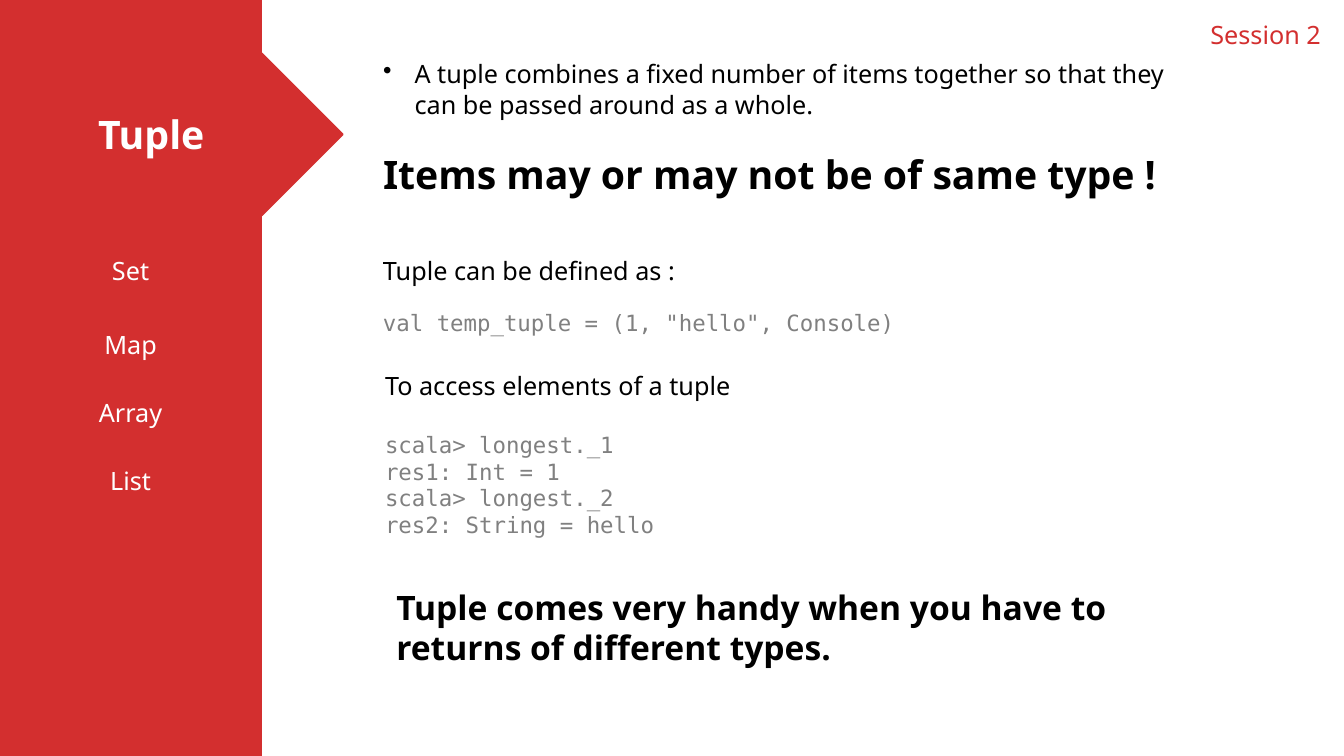
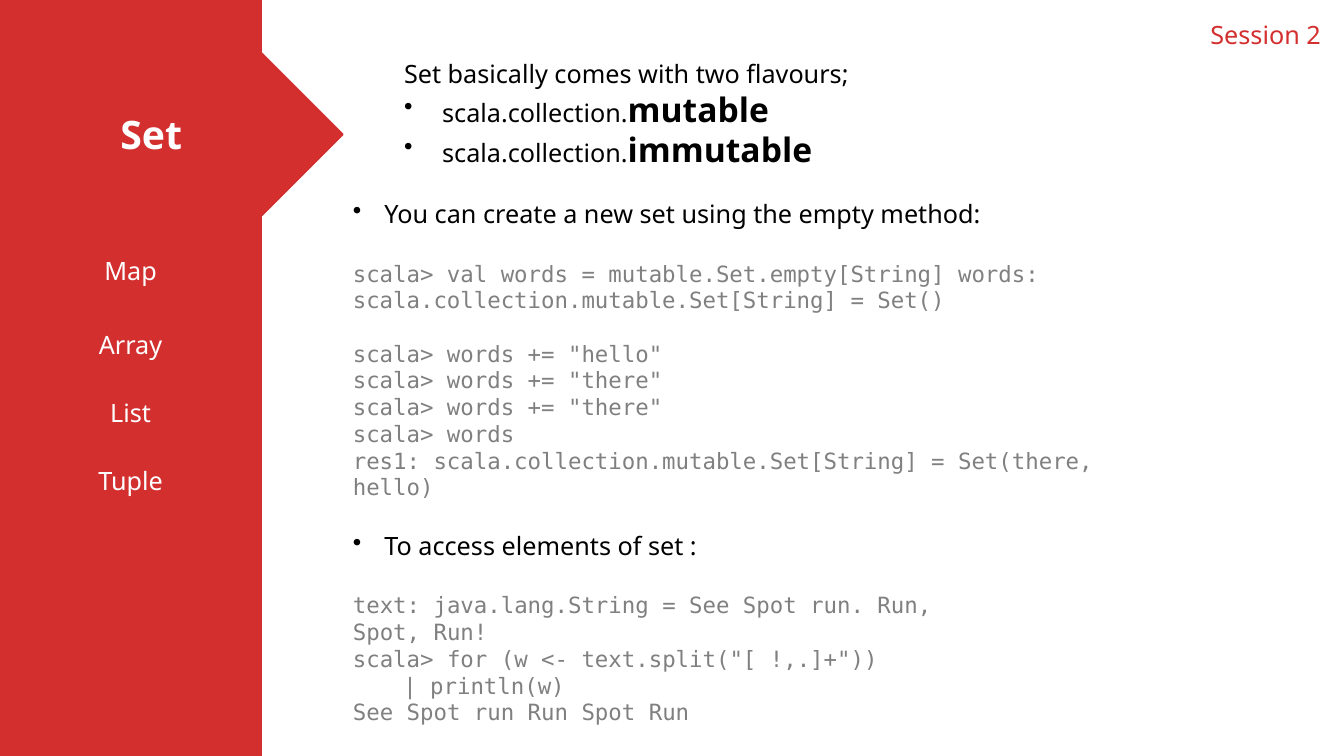
from pptx import Presentation
from pptx.dml.color import RGBColor
from pptx.enum.shapes import MSO_SHAPE
from pptx.enum.text import MSO_ANCHOR, MSO_AUTO_SIZE, PP_ALIGN
from pptx.oxml.ns import qn
from pptx.util import Pt
from lxml.etree import SubElement

# Shared look
RED, WHITE, BLACK, GRAY = "D32F2F", "FFFFFF", "000000", "808080"
BODY_FONT, CODE_FONT = "Noto Sans", "DejaVu Sans Mono"
SLIDE_WIDTH, SLIDE_HEIGHT = 960, 540
SIDEBAR_WIDTH = 186.5
BULLET_INDENT = 22.5
LINE_HEIGHTS = {16: 19.1, 18: 22, 24: 28.8, 28: 33.5}
TOPICS = ["Tuple", "Set", "Map", "Array", "List"]
MENU_TOPS = [178.5, 231, 280, 328.5]


def rgb(value):
    return RGBColor.from_string(value)


# Text
def add_run(paragraph, text, size, font, color, bold):
    run = paragraph.add_run()
    run.text = text
    run.font.size = Pt(size)
    run.font.name = font
    run.font.color.rgb = rgb(color)
    run.font.bold = bold


def add_bullet(paragraph):
    properties = paragraph._p.get_or_add_pPr()
    properties.set("marL", str(Pt(BULLET_INDENT)))
    properties.set("indent", str(-Pt(BULLET_INDENT)))
    SubElement(properties, qn("a:buChar")).set("char", "•")


def write(frame, text, size=18, font=BODY_FONT, color=BLACK, bold=False,
          align=PP_ALIGN.LEFT, gap=0, bullet=False, emphasis=""):
    """Add a paragraph; emphasis is a larger bold ending."""
    first = frame.paragraphs[0]
    paragraph = frame.add_paragraph() if first.runs else first
    paragraph.alignment = align
    paragraph.line_spacing = Pt(LINE_HEIGHTS[24 if emphasis else size])
    paragraph.space_before = Pt(gap)
    if bullet:
        add_bullet(paragraph)
    add_run(paragraph, text, size, font, color, bold)
    if emphasis:
        add_run(paragraph, emphasis, 24, font, color, True)


def write_code(frame, *lines, gap=0):
    for index, line in enumerate(lines):
        write(frame, line, size=16, font=CODE_FONT, color=GRAY,
              gap=0 if index else gap)


# Elements
def add_text_box(slide, left, top, width, height):
    shape = slide.shapes.add_textbox(Pt(left), Pt(top), Pt(width), Pt(height))
    frame = shape.text_frame
    frame.word_wrap = True
    frame.auto_size = MSO_AUTO_SIZE.SHAPE_TO_FIT_TEXT
    return frame


def add_red_shape(slide, kind, left, top, width, height):
    shape = slide.shapes.add_shape(kind, Pt(left), Pt(top), Pt(width), Pt(height))
    shape.shadow.inherit = False
    shape.fill.solid()
    shape.fill.fore_color.rgb = rgb(RED)
    shape.line.color.rgb = rgb(RED)
    shape.line.width = Pt(1)
    return shape


def add_topic_slide(presentation, topic):
    slide = presentation.slides.add_slide(presentation.slide_layouts[6])
    add_red_shape(slide, MSO_SHAPE.RECTANGLE, 0, 0, SIDEBAR_WIDTH, SLIDE_HEIGHT)
    write(add_text_box(slide, 857.5, 9.5, 102.5, 29), "Session 2", color=RED)

    # Current topic
    arrow = add_red_shape(slide, MSO_SHAPE.RIGHT_ARROW, 0, 38, 245, 116)
    arrow.text_frame.vertical_anchor = MSO_ANCHOR.MIDDLE
    write(arrow.text_frame, topic, size=28, color=WHITE, bold=True,
          align=PP_ALIGN.CENTER)

    # Remaining topics, in turn
    position = TOPICS.index(topic)
    others = TOPICS[position + 1:] + TOPICS[:position]
    for name, top in zip(others, MENU_TOPS):
        write(add_text_box(slide, 0, top, SIDEBAR_WIDTH, 29), name,
              color=WHITE, align=PP_ALIGN.CENTER)
    return slide


# Slides
def add_tuple_slide(presentation):
    slide = add_topic_slide(presentation, "Tuple")

    introduction = add_text_box(slide, 266.5, 38, 578, 106.5)
    write(introduction, "A tuple combines a fixed number of items together so "
          "that they can be passed around as a whole.", bullet=True)
    write(introduction, "Items may or may not be of same type !", size=28,
          bold=True, gap=22)

    definition = add_text_box(slide, 266.5, 178.5, 567.5, 65.5)
    write(definition, "Tuple can be defined as :")
    write_code(definition, 'val temp_tuple = (1, "hello", Console)', gap=17)

    access = add_text_box(slide, 268, 260.5, 595.5, 128)
    write(access, "To access elements of a tuple")
    write_code(access, "scala> longest._1", "res1: Int = 1",
               "scala> longest._2", "res2: String = hello", gap=22)

    conclusion = add_text_box(slide, 276, 415.5, 533.5, 65.5)
    write(conclusion, "Tuple comes very handy when you have to returns of "
          "different types.", size=24, bold=True)


def add_set_slide(presentation):
    slide = add_topic_slide(presentation, "Set")

    flavours = add_text_box(slide, 281.5, 38, 345, 87)
    write(flavours, "Set basically comes with two flavours;")
    for flavour in ("mutable", "immutable"):
        write(flavours, " scala.collection.", bullet=True, emphasis=flavour)

    creation = add_text_box(slide, 245, 138, 590.5, 245)
    write(creation, "You can create a new set using the empty method:", bullet=True)
    write_code(creation, "scala> val words = mutable.Set.empty[String] words: "
               "scala.collection.mutable.Set[String] = Set()", gap=22)
    write_code(creation, 'scala> words += "hello"', 'scala> words += "there"',
               'scala> words += "there"', "scala> words",
               "res1: scala.collection.mutable.Set[String] = Set(there, hello)",
               gap=19)

    access = add_text_box(slide, 245, 375, 480, 147.5)
    write(access, "To access elements of set :", bullet=True)
    write_code(access, "text: java.lang.String = See Spot run. Run, Spot, Run!",
               'scala> for (w <- text.split("[ !,.]+"))', "\t| println(w)",
               "See Spot run Run Spot Run", gap=22)


def main():
    presentation = Presentation()
    presentation.slide_width = Pt(SLIDE_WIDTH)
    presentation.slide_height = Pt(SLIDE_HEIGHT)
    add_tuple_slide(presentation)
    add_set_slide(presentation)
    presentation.save("out.pptx")


main()
